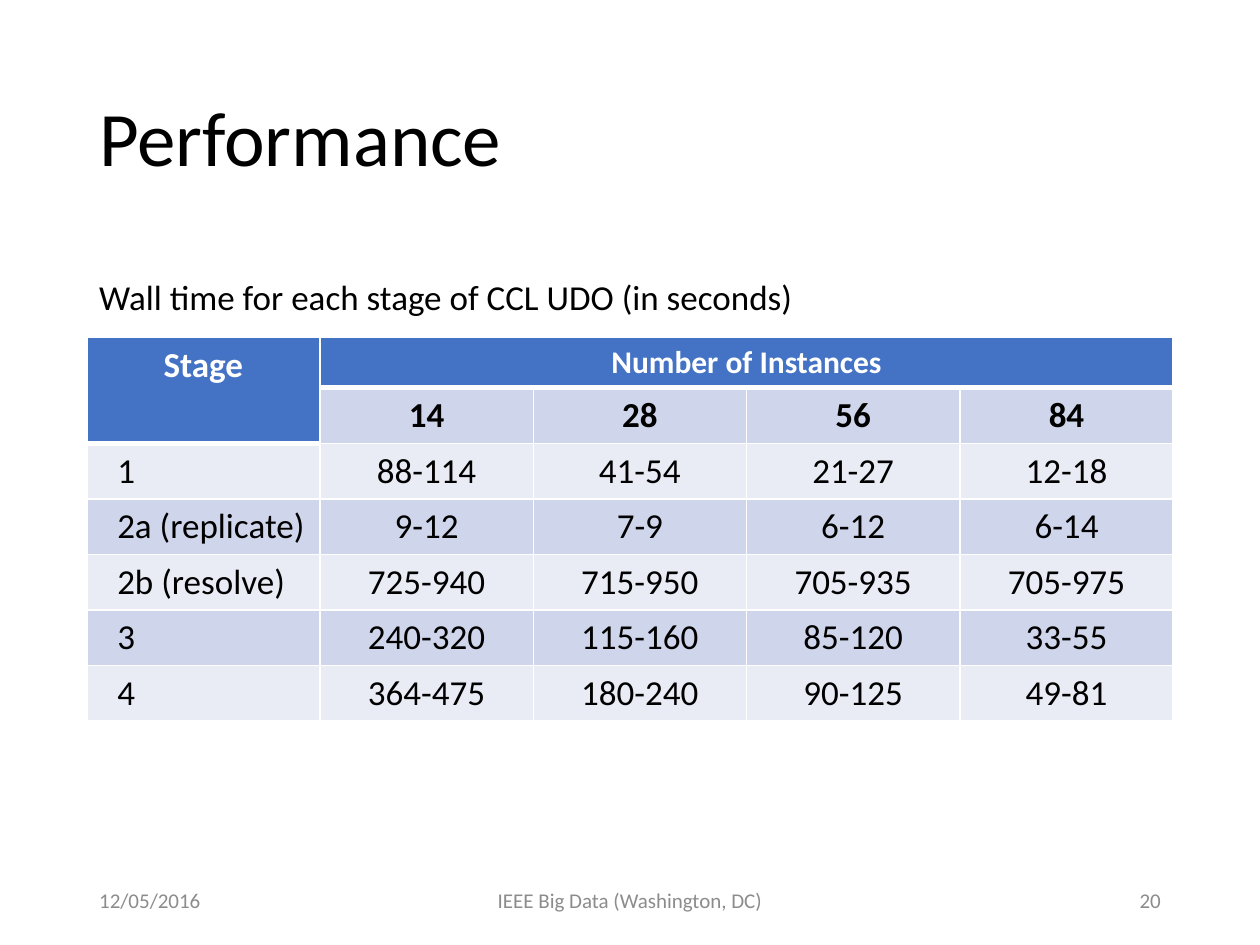
from lxml import etree
from pptx import Presentation
from pptx import util as u
from pptx.dml.color import RGBColor
from pptx.enum import text
from pptx.oxml.ns import qn

BLACK = RGBColor(0x00, 0x00, 0x00)
WHITE = RGBColor(0xFF, 0xFF, 0xFF)
GREY = RGBColor(0x8C, 0x8C, 0x8C)
BLUE = RGBColor(0x44, 0x72, 0xC4)
MID = RGBColor(0xCF, 0xD5, 0xEA)
PALE = RGBColor(0xE9, 0xEB, 0xF5)
FONT = "Calibri"
LEFT, MIDDLE, RIGHT = text.PP_ALIGN.LEFT, text.PP_ALIGN.CENTER, text.PP_ALIGN.RIGHT
TOP, CENTRE = text.MSO_ANCHOR.TOP, text.MSO_ANCHOR.MIDDLE

# Content: words, box in cm, size, colour, alignment, anchor, line spacing
EDGE, WIDE = 1.75, 21.9
BOXES = [
    ("Performance", (EDGE, 1.02, WIDE, 3.68), 44, BLACK, LEFT, CENTRE, 0.9),
    ("Wall time for each stage of CCL UDO (in seconds)",
     (EDGE, 5.43, WIDE, 1.11), 20, BLACK, LEFT, TOP, None),
    ("12/05/2016", (EDGE, 17.65, 5.72, 1.01), 12, GREY, LEFT, CENTRE, None),
    ("IEEE Big Data (Washington, DC)", (8.41, 17.65, 8.58, 1.01),
     12, GREY, MIDDLE, CENTRE, None),
    ("20", (17.93, 17.65, 5.72, 1.01), 12, GREY, RIGHT, CENTRE, None),
]
ROWS = [
    ("Stage", "Number of Instances", "", "", ""),
    ("", "14", "28", "56", "84"),
    ("1", "88-114", "41-54", "21-27", "12-18"),
    ("2a (replicate)", "9-12", "7-9", "6-12", "6-14"),
    ("2b (resolve)", "725-940", "715-950", "705-935", "705-975"),
    ("3", "240-320", "115-160", "85-120", "33-55"),
    ("4", "364-475", "180-240", "90-125", "49-81"),
]
COLS = [4.7] + [4.3] * 4
HIGH = [1.0] + [1.12] * 6


def write(par, words, size, ink, align, bold=False):
    par.alignment = align
    run = par.add_run()
    run.text = words
    font = run.font
    font.name, font.size, font.bold = FONT, u.Pt(size), bold
    font.color.rgb = ink


def is_head(row, col):
    return row == 0 or (row == 1 and col == 0)


def add_lines(cell, thick):
    """Put white borders before the fill, as the schema asks."""
    props = cell._tc.get_or_add_tcPr()
    for spot, side in enumerate("LRTB"):
        line = etree.Element(qn(f"a:ln{side}"), w=str(u.Pt(thick.get(side, 1))))
        fill = etree.SubElement(line, qn("a:solidFill"))
        etree.SubElement(fill, qn("a:srgbClr"), val=str(WHITE))
        props.insert(spot, line)


deck = Presentation()
deck.slide_width, deck.slide_height = u.Cm(25.4), u.Cm(19.05)
slide = deck.slides.add_slide(deck.slide_layouts[6])

# Title, caption and footer
for words, place, size, ink, align, anchor, space in BOXES:
    frame = slide.shapes.add_textbox(*map(u.Cm, place)).text_frame
    frame.word_wrap = True
    frame.vertical_anchor = anchor
    par = frame.paragraphs[0]
    par.line_spacing = space
    write(par, words, size, ink, align)

# Table of wall times
grid = slide.shapes.add_table(len(ROWS), len(COLS), u.Cm(EDGE), u.Cm(6.8),
                              u.Cm(WIDE), u.Cm(sum(HIGH))).table
for col, width in zip(grid.columns, COLS):
    col.width = u.Cm(width)
for row, height in zip(grid.rows, HIGH):
    row.height = u.Cm(height)
grid.cell(0, 0).merge(grid.cell(1, 0))
grid.cell(0, 1).merge(grid.cell(0, 4))

for r, row in enumerate(ROWS):
    for c, words in enumerate(row):
        cell, head = grid.cell(r, c), is_head(r, c)
        cell.fill.solid()
        cell.fill.fore_color.rgb = BLUE if head else MID if r % 2 else PALE
        below = r > 0 and is_head(r - 1, c) and not head
        add_lines(cell, {"B": 3} if head else {"T": 3} if below else {})
        if not words:
            continue
        par = cell.text_frame.paragraphs[0]
        stage = c == 0 and not head
        if stage:
            par._p.get_or_add_pPr().set("marL", str(u.Cm(0.36)))
        write(par, words, 18 if head and c else 20, WHITE if head else BLACK,
              LEFT if stage else MIDDLE, r < 2)

deck.save("out.pptx")
